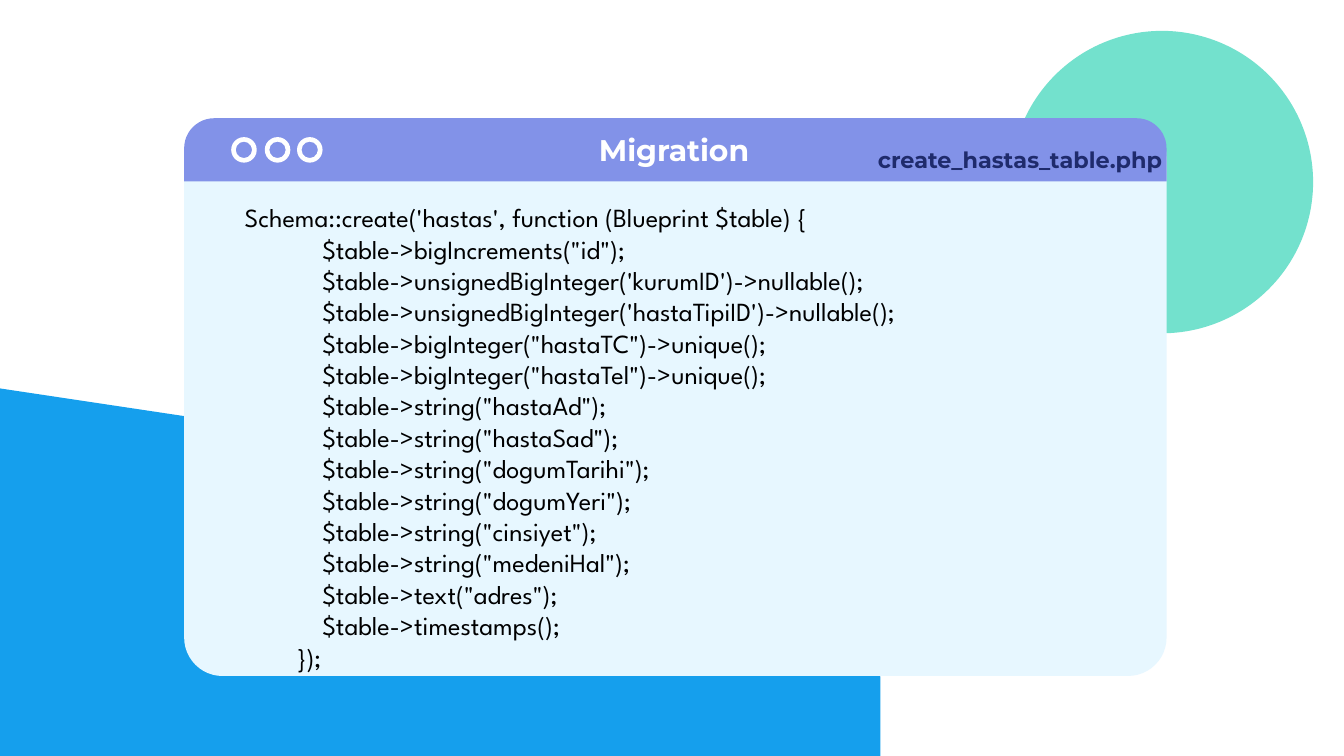
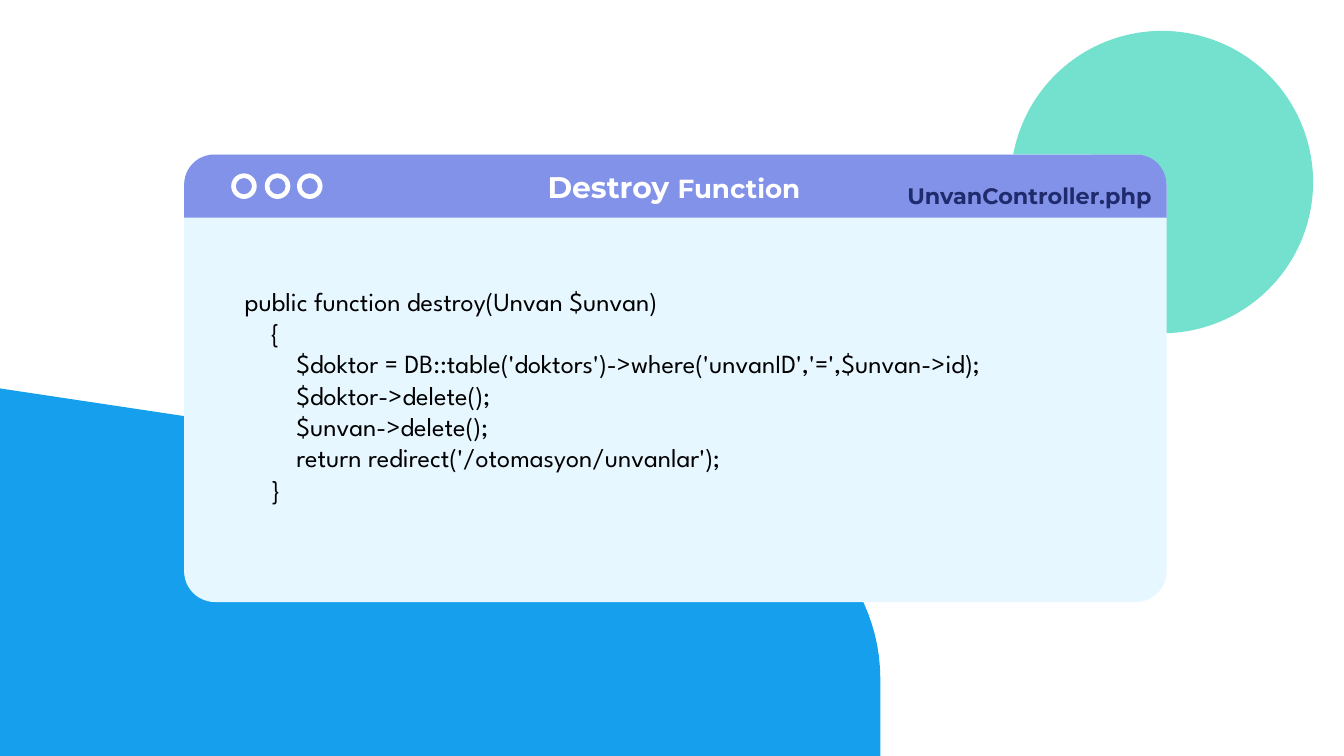
from pptx import Presentation
from pptx.dml.color import RGBColor as Rgb
from pptx.enum.shapes import MSO_SHAPE as Kind
from pptx.enum.text import MSO_ANCHOR as Anchor, MSO_AUTO_SIZE as Fit, PP_ALIGN as Align
from pptx.util import Pt

PX = 9144
WIDE = 1000 * PX
HIGH = WIDE * 9 // 16
HUES = {
    "mint": "73E1CD",
    "blue": "159FED",
    "pane": "E7F7FF",
    "bar": "8292E8",
    "navy": "1F2B6C",
    "white": "FFFFFF",
    "black": "000000",
}
HEAD = "Montserrat"
CODE = "League Spartan"
BAR = 47

SCHEMA = """Schema::create('hastas', function (Blueprint $table) {
            $table->bigIncrements("id");
            $table->unsignedBigInteger('kurumID')->nullable();
            $table->unsignedBigInteger('hastaTipiID')->nullable();
            $table->bigInteger("hastaTC")->unique();
            $table->bigInteger("hastaTel")->unique();
            $table->string("hastaAd");
            $table->string("hastaSad");
            $table->string("dogumTarihi");
            $table->string("dogumYeri");
            $table->string("cinsiyet");
            $table->string("medeniHal");
            $table->text("adres");
            $table->timestamps();
        });"""

DESTROY = """public function destroy(Unvan $unvan)
    {
        $doktor = DB::table('doktors')->where('unvanID','=',$unvan->id);
        $doktor->delete();
        $unvan->delete();
        return redirect('/otomasyon/unvanlar');
    }"""


def hue(name):
    return Rgb.from_string(HUES[name])


def paint(shape, name):
    shape.shadow.inherit = False
    shape.fill.solid()
    shape.fill.fore_color.rgb = hue(name)
    shape.line.fill.background()


def draw(shapes, kind, box, name, *adjusts):
    shape = shapes.add_shape(kind, *(n * PX for n in box))
    for i, value in enumerate(adjusts):
        shape.adjustments[i] = value
    paint(shape, name)
    return shape


def place(shape, box):
    shape.left, shape.top, shape.width, shape.height = (n * PX for n in box)


def style(run, size, font, name, bold):
    run.font.size = Pt(size)
    run.font.name = font
    run.font.color.rgb = hue(name)
    run.font.bold = bold


def frame(shape, anchor):
    text = shape.text_frame
    text.auto_size = Fit.NONE
    text.word_wrap = True
    text.vertical_anchor = anchor
    text.margin_left = text.margin_right = 10 * PX
    text.margin_top = text.margin_bottom = 10 * PX
    return text


def curve(start, one, two, end, steps=24):
    for i in range(1, steps + 1):
        t = i / steps
        u = 1 - t
        yield tuple(
            (u**3 * a + 3 * u * u * t * b + 3 * u * t * t * c + t**3 * d) * PX
            for a, b, c, d in zip(start, one, two, end)
        )


def backdrop(slide, layout):
    shapes = slide.shapes
    disc = draw(shapes, Kind.OVAL, (752, 23, 225, 225), "mint")
    pen = shapes.build_freeform(0, 289 * PX, scale=1.0)
    edge = [(0, HIGH), (655 * PX, HIGH), (655 * PX, 505 * PX)]
    bend = curve((655, 505), (655, 438), (605, 380), (539, 370))
    pen.add_line_segments([*edge, *bend], close=True)
    wave = pen.convert_to_shape()
    paint(wave, "blue")
    tree = layout.shapes.element
    for holder in list(layout.placeholders)[2:]:
        tree.remove(holder.element)
    for shape in (disc, wave):
        tree.append(shape.element)


def rings(shapes, left, top):
    group = shapes.add_group_shape()
    for i in range(3):
        box = (left + (49 * i + 1) // 2, top, 19, 19)
        draw(group.shapes, Kind.DONUT, box, "white", 0.18)


def heading(shapes, box, parts):
    text = frame(shapes.add_textbox(*(n * PX for n in box)), Anchor.MIDDLE)
    line = text.paragraphs[0]
    line.alignment = Align.CENTER
    for words, size in parts:
        run = line.add_run()
        run.text = words
        style(run, size, HEAD, "white", True)


def label(title, box, words):
    place(title, box)
    text = frame(title, Anchor.MIDDLE)
    text.text = words
    line = text.paragraphs[0]
    line.alignment = Align.CENTER
    style(line.runs[0], 12, HEAD, "navy", True)


def listing(body, box, code):
    place(body, box)
    text = frame(body, Anchor.TOP)
    text.text = code
    for line in text.paragraphs:
        line.alignment = Align.LEFT
        line.space_before = line.space_after = Pt(0)
        line.line_spacing = Pt(16.8)
        style(line.runs[0], 14, CODE, "black", False)


def window(slide, box, parts, name, span, code, drop):
    left, top, wide, high = box
    shapes = slide.shapes
    title, body = slide.placeholders
    draw(shapes, Kind.ROUNDED_RECTANGLE, box, "pane", 0.069)
    draw(shapes, Kind.ROUND_2_SAME_RECTANGLE, (left, top, wide, BAR), "bar", 0.476, 0)
    for holder in (body, title):
        shapes.element.append(holder.element)
    listing(body, (left + 35, top + drop, 659, 227), code)
    shift, reach = span
    label(title, (left + shift, top + 14, reach, 33), name)
    rings(shapes, left + 35, top + 14)
    heading(shapes, (left + 237, top, 255, BAR), parts)


def main():
    deck = Presentation()
    deck.slide_width, deck.slide_height = WIDE, HIGH
    layout = deck.slide_layouts[0]
    first = deck.slides.add_slide(layout)
    second = deck.slides.add_slide(layout)
    backdrop(first, layout)
    window(first, (137, 88, 731, 415), [("Migration", 16)],
           "create_hastas_table.php", (504, 236), SCHEMA, 52)
    window(second, (137, 115, 731, 333), [("Destroy ", 16), ("Function", 14)],
           "UnvanController.php", (527, 204), DESTROY, 87)
    deck.save("out.pptx")


if __name__ == "__main__":
    main()
